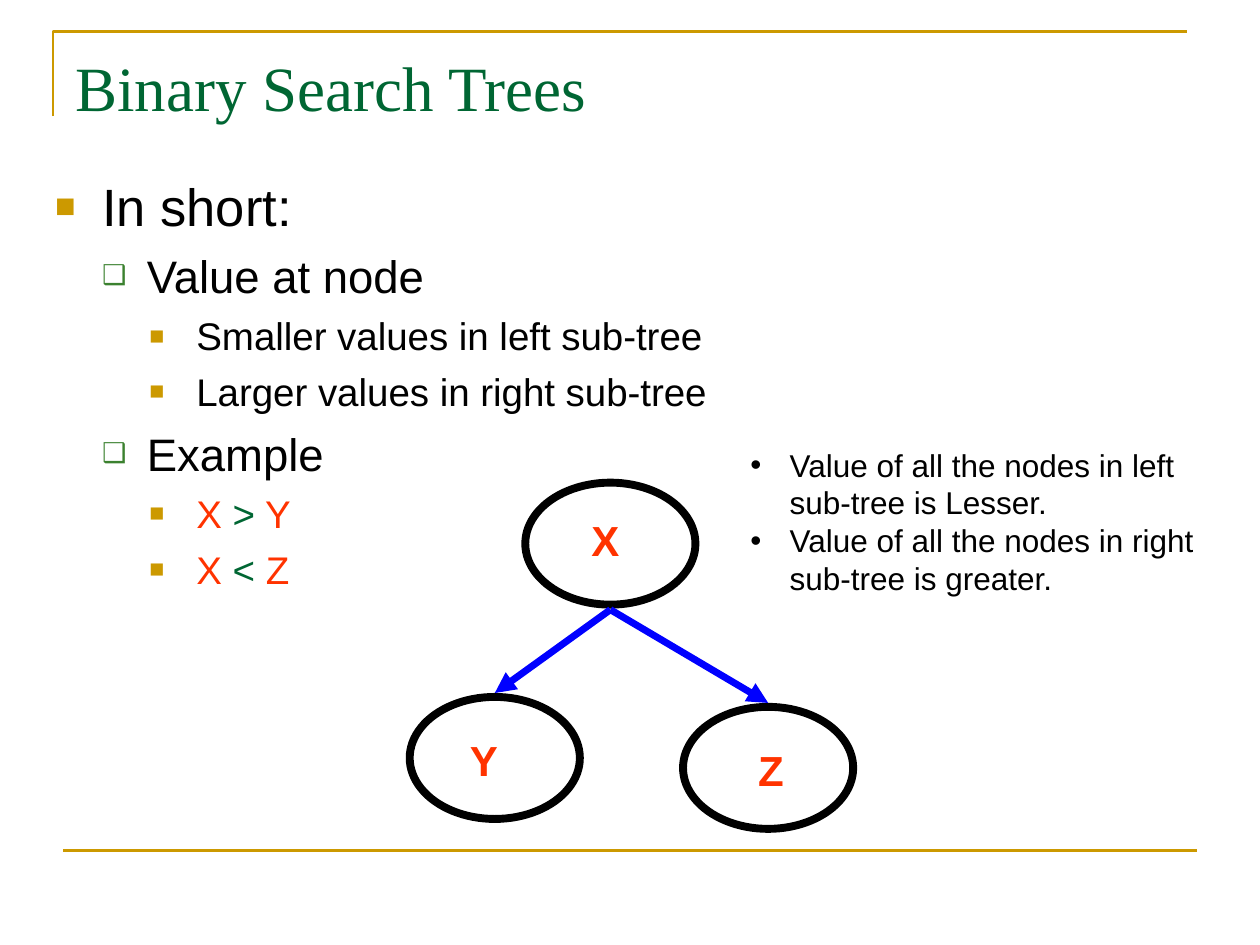
import pptx
import pptx.util
import pptx.dml.color
import pptx.enum.shapes
import pptx.enum.text
import pptx.oxml
import pptx.oxml.ns
from pptx.util import Cm

COLOURS = {
    "gold": "CC9900", "title": "006633", "leaf": "3B812F", "ink": "000000",
    "key": "FF3300", "arrow": "0000FF", "paper": "FFFFFF",
}
LEVELS = [
    {"size": 30, "before": 7.5, "left": 0.95, "hang": 0.95, "bullet": ("■", "gold", 65)},
    {"size": 26, "before": 6.5, "left": 1.85, "hang": 0.9, "bullet": ("❑", "leaf", 60)},
    {"size": 22, "before": 5.5, "left": 2.85, "hang": 0.95, "bullet": ("■", "gold", 65)},
]
REMARK = {"size": 18, "before": 0, "left": 0.79, "hang": 0.79, "bullet": ("•", "ink", 100)}
OUTLINE = [
    (0, [("In short:", "ink")]),
    (1, [("Value at node", "ink")]),
    (2, [("Smaller values in left sub-tree", "ink")]),
    (2, [("Larger values in right sub-tree", "ink")]),
    (1, [("Example", "ink")]),
    (2, [("X ", "key"), (">", "title"), (" Y", "key")]),
    (2, [("X ", "key"), ("<", "title"), (" Z", "key")]),
]
REMARKS = [
    "Value of all the nodes in left sub-tree is Lesser.",
    "Value of all the nodes in right sub-tree is greater.",
]
NODE_WIDTH, NODE_HEIGHT = 3.43, 2.46
NODES = {"X": (10.59, 9.73), "Y": (8.26, 14.05), "Z": (13.77, 14.25)}
LABELS = {"Y": (8.89, 14.68, 1.73), "X": (11, 10.24, 2.41), "Z": (14.17, 14.88, 2.74)}


class SlideBuilder:
    """Draws styled elements on the current slide."""

    def __init__(self, slide):
        self.slide = slide
        self.shapes = slide.shapes
        fill = slide.background.fill
        fill.solid()
        fill.fore_color.rgb = self.colour("paper")

    def colour(self, name):
        return pptx.dml.color.RGBColor.from_string(COLOURS[name])

    def append(self, parent, xml):
        namespace = pptx.oxml.ns.nsdecls("a")
        parent.append(pptx.oxml.parse_xml(xml.replace("/>", f" {namespace}/>", 1)))

    def stroke(self, line, colour, width):
        line.color.rgb = self.colour(colour)
        line.width = pptx.util.Pt(width)

    def line(self, start, end, colour, width, arrow=False):
        connector = self.shapes.add_connector(
            pptx.enum.shapes.MSO_CONNECTOR.STRAIGHT, *map(Cm, start + end))
        self.stroke(connector.line, colour, width)
        if arrow:
            self.append(connector.line._get_or_add_ln(), '<a:tailEnd type="triangle"/>')
        self.append(connector._element.spPr, "<a:effectLst/>")

    def corner(self, points, colour, width):
        start, *others = [(Cm(x), Cm(y)) for x, y in points]
        builder = self.shapes.build_freeform(*start)
        builder.add_line_segments(others, close=False)
        frame = builder.convert_to_shape()
        frame.shadow.inherit = False
        frame.fill.background()
        self.stroke(frame.line, colour, width)

    def node(self, left, top):
        ellipse = self.shapes.add_shape(
            pptx.enum.shapes.MSO_SHAPE.OVAL,
            *map(Cm, (left, top, NODE_WIDTH, NODE_HEIGHT)))
        ellipse.shadow.inherit = False
        ellipse.fill.background()
        self.stroke(ellipse.line, "ink", 4.5)

    def text_frame(self, box, anchor=pptx.enum.text.MSO_ANCHOR.TOP):
        frame = self.shapes.add_textbox(*map(Cm, box)).text_frame
        frame.word_wrap = True
        frame.vertical_anchor = anchor
        return frame

    def run(self, paragraph, text, size, colour, font="Arial", bold=False):
        run = paragraph.add_run()
        run.text = text
        run.font.name = font
        run.font.size = pptx.util.Pt(size)
        run.font.bold = bold
        run.font.color.rgb = self.colour(colour)

    def title(self, text, box):
        frame = self.text_frame(box, pptx.enum.text.MSO_ANCHOR.MIDDLE)
        self.run(frame.paragraphs[0], text, 36, "title", "Times New Roman")

    def label(self, text, box):
        paragraph = self.text_frame(box).paragraphs[0]
        paragraph.alignment = pptx.enum.text.PP_ALIGN.CENTER
        self.run(paragraph, text, 24, "key", bold=True)

    def bullets(self, box, items):
        frame = self.text_frame(box)
        for index, (style, runs) in enumerate(items):
            paragraph = frame.add_paragraph() if index else frame.paragraphs[0]
            paragraph.space_before = pptx.util.Pt(style["before"])
            properties = paragraph._p.get_or_add_pPr()
            properties.set("marL", str(Cm(style["left"])))
            properties.set("indent", str(-Cm(style["hang"])))
            character, colour, percent = style["bullet"]
            self.append(properties, "<a:buClr/>")
            self.append(properties[-1], f'<a:srgbClr val="{COLOURS[colour]}"/>')
            self.append(properties, f'<a:buSzPct val="{percent * 1000}"/>')
            self.append(properties, '<a:buFont typeface="Arial"/>')
            self.append(properties, f'<a:buChar char="{character}"/>')
            for text, ink in runs:
                self.run(paragraph, text, style["size"], ink)


def main():
    deck = pptx.Presentation()
    deck.slide_width, deck.slide_height = Cm(25.4), Cm(19.05)
    page = SlideBuilder(deck.slides.add_slide(deck.slide_layouts[6]))

    page.corner([(1.07, 2.34), (1.07, 0.64), (23.93, 0.64)], "gold", 1.5)
    page.line((1.27, 17.15), (24.13, 17.15), "gold", 1.5)
    page.title("Binary Search Trees", (1.27, 0.76, 14, 1.98))
    page.bullets((0.86, 3.38, 22.86, 13.79),
                 [(LEVELS[level], runs) for level, runs in OUTLINE])

    for left, top in NODES.values():
        page.node(left, top)
    root_left, root_top = NODES["X"]
    root_foot = (root_left + NODE_WIDTH / 2, root_top + NODE_HEIGHT + 0.1)
    for child in ("Z", "Y"):
        left, top = NODES[child]
        page.line(root_foot, (left + NODE_WIDTH / 2, top - 0.08), "arrow", 4, arrow=True)
    for name, (left, top, width) in LABELS.items():
        page.label(name, (left, top, width, 1.27))

    page.bullets((14.88, 8.86, 9.93, 3.3),
                 [(REMARK, [(text, "ink")]) for text in REMARKS])
    deck.save("out.pptx")


if __name__ == "__main__":
    main()
